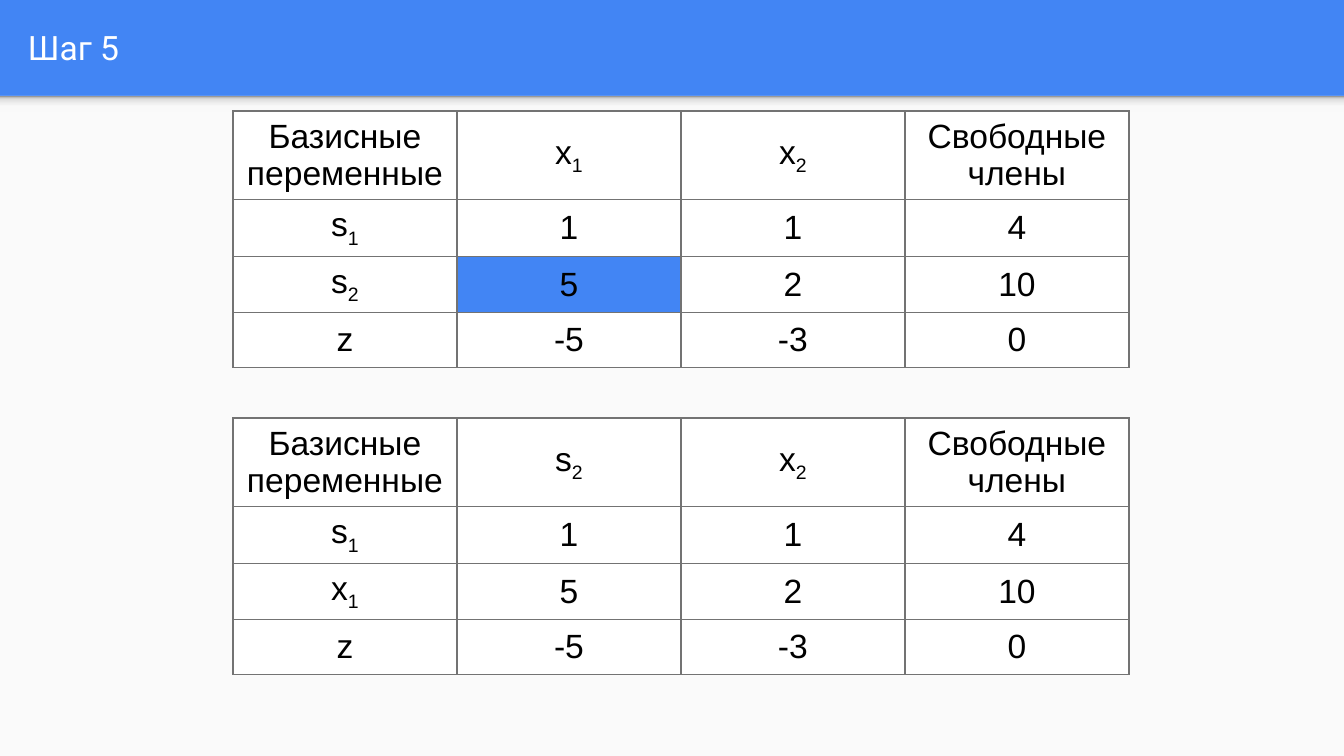
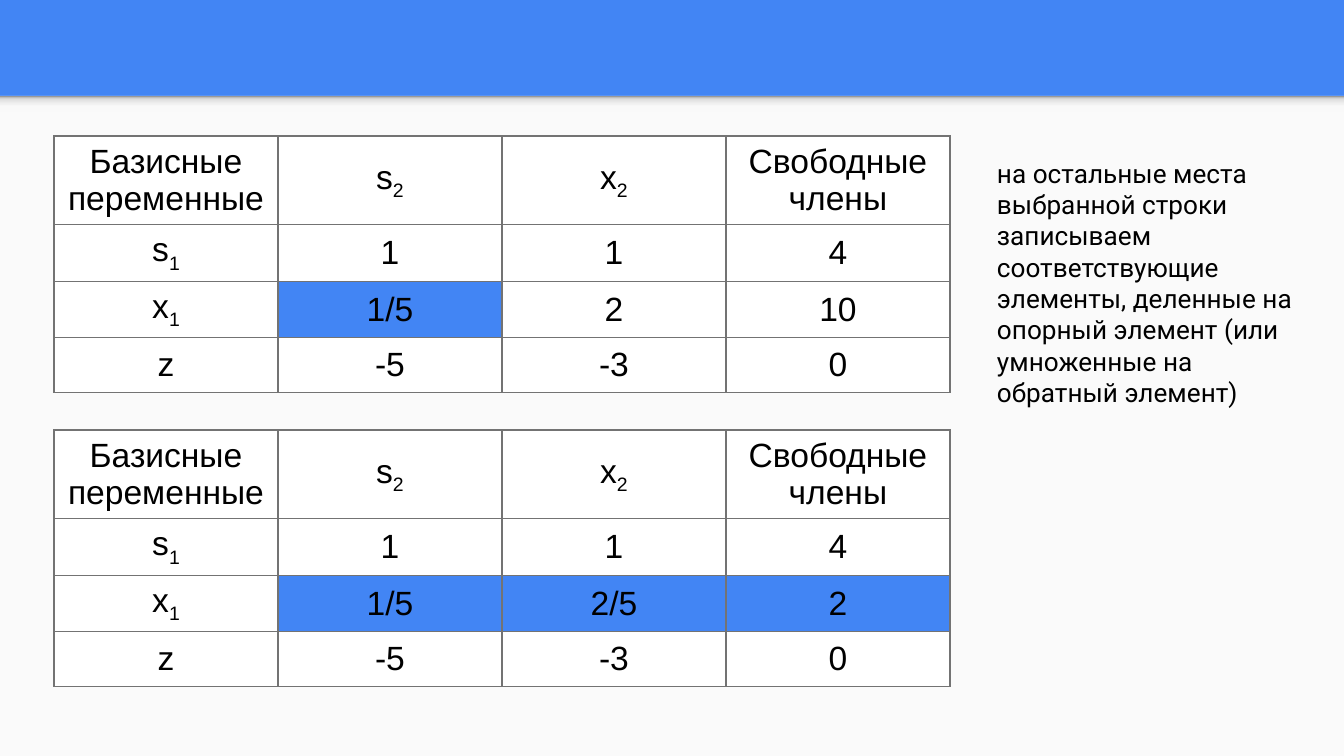
"""Two slides of simplex tables under a shared blue title band."""
from lxml.etree import SubElement
from pptx import Presentation
from pptx.dml.color import RGBColor
from pptx.enum.shapes import MSO_SHAPE
from pptx.enum.text import MSO_ANCHOR, PP_ALIGN
from pptx.oxml import parse_xml
from pptx.oxml.ns import nsdecls, qn
from pptx.util import Pt

BLUE = RGBColor(0x42, 0x85, 0xF4)
PAPER = RGBColor(0xFA, 0xFA, 0xFA)
WHITE = RGBColor(0xFF, 0xFF, 0xFF)
BLACK = RGBColor(0, 0, 0)
GREY = RGBColor(0x73, 0x73, 0x73)
SHADOW_STOPS = [(0, "F9F9F9"), (36, "F9F9F9"), (80, "DEDEDE"), (100, "999999")]

WIDTH, HEIGHT, BAND = 1344, 756, 96
COL_W, ROW_H = 224, 55
FIRST, LAST = "Базисные переменные", "Свободные члены"
ROW_S1 = ["s_1", "1", "1", "4"]
ROW_Z = ["z", "-5", "-3", "0"]
NOTE = ("на остальные места выбранной строки записываем соответствующие элементы, "
        "деленные на опорный элемент (или умноженные на обратный элемент)")

SLIDES = [
    {"title": "Шаг 5", "tables": [
        {"at": (233, 111), "entering": "x_1", "pivot": ["s_2", "5", "2", "10"], "marked": [1]},
        {"at": (233, 418), "entering": "s_2", "pivot": ["x_1", "5", "2", "10"], "marked": []},
    ]},
    {"note": NOTE, "tables": [
        {"at": (54, 430), "entering": "s_2", "pivot": ["x_1", "1/5", "2/5", "2"],
         "marked": [1, 2, 3]},
        {"at": (54, 136), "entering": "s_2", "pivot": ["x_1", "1/5", "2", "10"], "marked": [1]},
    ]},
]


def px(*values):
    return [round(v * 914400 / 134.4) for v in values]


def write(tf, text, font="Roboto", size=18, color=BLACK, align=PP_ALIGN.LEFT,
          anchor=MSO_ANCHOR.TOP):
    tf.word_wrap = True
    tf.vertical_anchor = anchor
    p = tf.paragraphs[0]
    p.alignment = align
    for i, part in enumerate(text.split("_")):
        r = p.add_run()
        r.text = part
        r.font.name, r.font.size, r.font.color.rgb = font, Pt(size), color
        if i:
            r.font._element.set("baseline", "-25000")


def set_insets(tf, inset=13):
    tf.margin_left, tf.margin_top, tf.margin_right, tf.margin_bottom = px(*[inset] * 4)


def add_borders(cell):
    tcPr = cell._tc.get_or_add_tcPr()
    for side in "LRTB":
        ln = SubElement(tcPr, qn(f"a:ln{side}"), w=str(Pt(0.75)))
        SubElement(SubElement(ln, qn("a:solidFill")), qn("a:srgbClr"), val=str(GREY))


def add_simplex_table(s, at, entering, pivot, marked):
    rows = [[FIRST, entering, "x_2", LAST], ROW_S1, pivot, ROW_Z]
    n = len(pivot)
    table = s.shapes.add_table(len(rows), n, *px(*at, n * COL_W, len(rows) * ROW_H)).table
    table.first_row = table.horz_banding = False
    for col in table.columns:
        col.width = px(COL_W)[0]
    for i, row in enumerate(rows):
        table.rows[i].height = px(ROW_H)[0]
        for j, text in enumerate(row):
            cell = table.cell(i, j)
            write(cell.text_frame, text, font="Arial", align=PP_ALIGN.CENTER)
            cell.vertical_anchor = MSO_ANCHOR.MIDDLE
            add_borders(cell)
            cell.fill.solid()
            cell.fill.fore_color.rgb = BLUE if rows[i] is pivot and j in marked else WHITE


def style_layout(layout, s):
    """Put the blue background, paper and band shadow on the layout."""
    layout.background.fill.solid()
    layout.background.fill.fore_color.rgb = BLUE
    for i, height in enumerate((HEIGHT - BAND, 16)):
        sp = s.shapes.add_shape(MSO_SHAPE.RECTANGLE, *px(0, BAND, WIDTH, height))
        sp.shadow.inherit = False
        sp.line.fill.background()
        sp.fill.solid()
        sp.fill.fore_color.rgb = PAPER
        layout.shapes._spTree.insert(2 + i, sp._element)
    stops = "".join(f'<a:gs pos="{pos * 1000}"><a:srgbClr val="{c}"/></a:gs>'
                    for pos, c in SHADOW_STOPS)
    spPr = sp._element.spPr
    spPr.replace(spPr.find(qn("a:solidFill")), parse_xml(
        f'<a:gradFill {nsdecls("a")}><a:gsLst>{stops}</a:gsLst>'
        '<a:lin ang="16200000" scaled="0"/></a:gradFill>'))


def main():
    prs = Presentation()
    prs.slide_width, prs.slide_height = px(WIDTH, HEIGHT)
    layout = prs.slide_layouts[5]
    for content in SLIDES:
        s = prs.slides.add_slide(layout)
        if len(prs.slides) == 1:
            style_layout(layout, s)
        title = s.shapes.title
        if "title" in content:
            title.left, title.top, title.width, title.height = px(15, 3, 1297, 89)
            set_insets(title.text_frame)
            write(title.text_frame, content["title"], color=WHITE, anchor=MSO_ANCHOR.MIDDLE)
        else:
            title._element.getparent().remove(title._element)
        for table in content["tables"]:
            add_simplex_table(s, **table)
        if "note" in content:
            tf = s.shapes.add_textbox(*px(984, 144, 339, 543)).text_frame
            set_insets(tf)
            write(tf, content["note"], size=14)
    prs.save("out.pptx")


if __name__ == "__main__":
    main()
